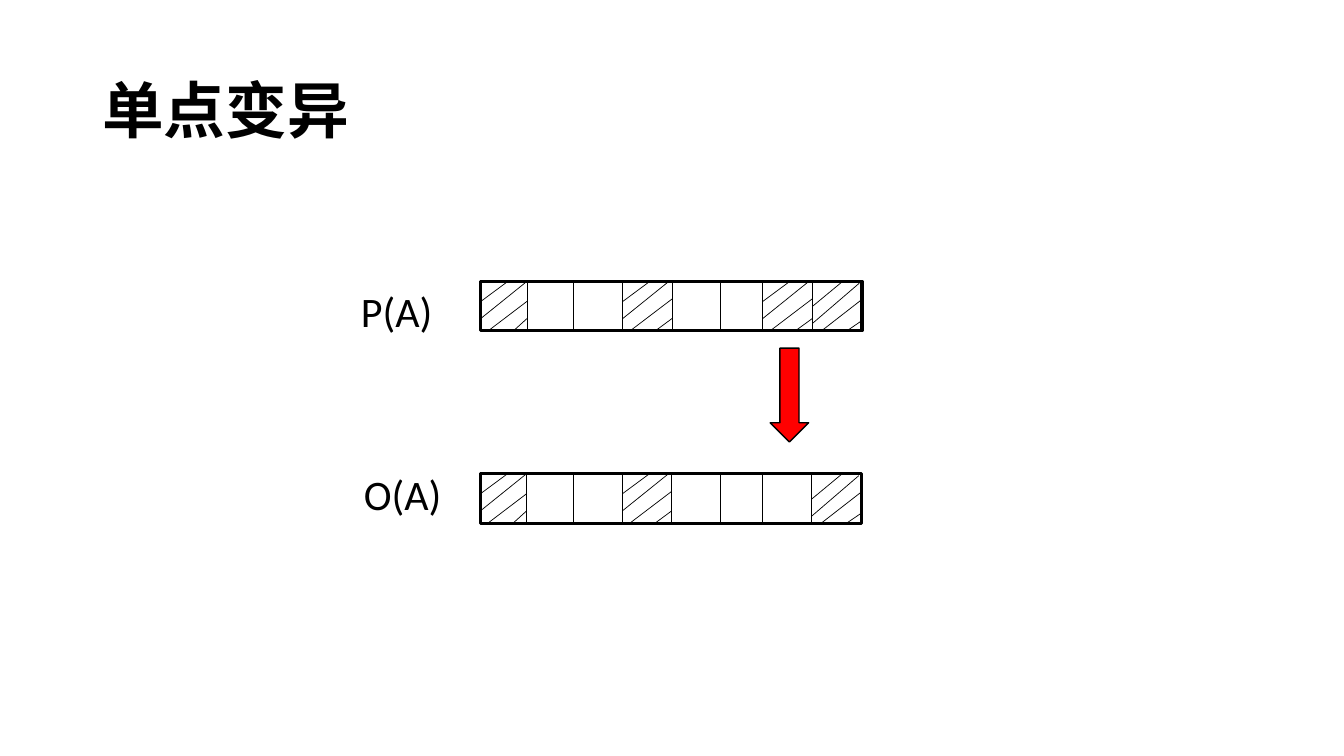
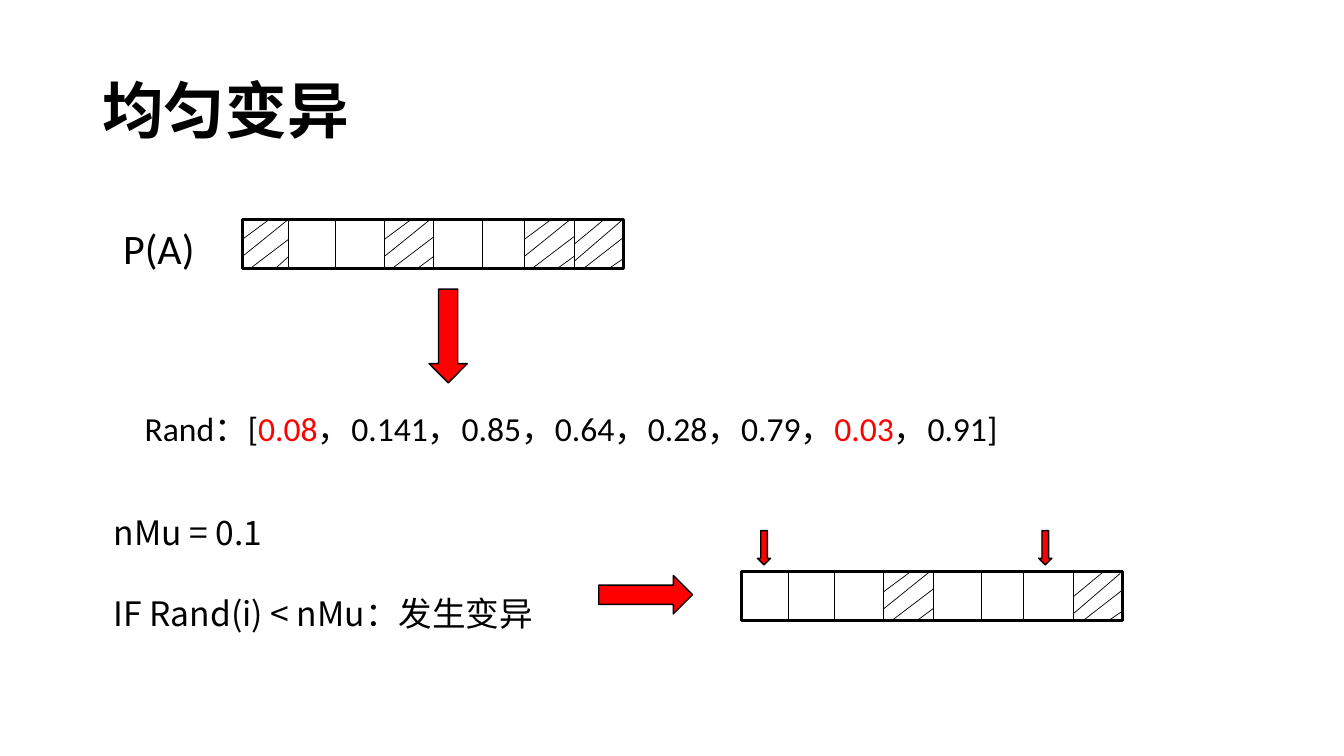
from lxml import etree
from pptx import Presentation
from pptx.dml.color import RGBColor
from pptx.enum.shapes import MSO_CONNECTOR, MSO_SHAPE
from pptx.enum.text import MSO_ANCHOR, MSO_AUTO_SIZE, PP_ALIGN
from pptx.oxml.ns import qn
from pptx.util import Pt

RECTANGLE, ARROW = MSO_SHAPE.RECTANGLE, MSO_SHAPE.RIGHT_ARROW
STRAIGHT = MSO_CONNECTOR.STRAIGHT
LEFT, CENTER = PP_ALIGN.LEFT, PP_ALIGN.CENTER
TOP, MIDDLE = MSO_ANCHOR.TOP, MSO_ANCHOR.MIDDLE
GROW = MSO_AUTO_SIZE.SHAPE_TO_FIT_TEXT

COLORS = {"ink": "000000", "paper": "FFFFFF", "accent": "FF0000"}
LATIN, CJK = "Calibri", "Noto Sans CJK SC"
TITLE = {"size": Pt(44), "name": CJK, "bold": True}
LABEL = {"size": Pt(30), "name": LATIN}
RANDOM = {"size": Pt(24), "name": LATIN}
RULE = {"size": Pt(24), "name": CJK}

GENE_EDGES = [0, 33, 66.4, 101.4, 136.6, 171.2, 201.4, 236.8, 272.2]
BAR_WIDTH, BAR_HEIGHT = GENE_EDGES[-1], 35.3
PARENT = "10010011"
LARGE_ARROW, SMALL_ARROW = (67, 27.4), (24.5, 9.4)


def rgb(color):
    """Return the palette colour with this name."""
    return RGBColor.from_string(COLORS[color])


def add_text(slide, box, paragraphs, style, align=LEFT, anchor=TOP, spacing=None):
    """Add a text box; each paragraph is a list of (text, colour) runs."""
    area = slide.shapes.add_textbox(*map(Pt, box))
    frame = area.text_frame
    frame.word_wrap = True
    frame.vertical_anchor = anchor
    if anchor == TOP:
        frame.auto_size = GROW
    for index, runs in enumerate(paragraphs):
        paragraph = frame.add_paragraph() if index else frame.paragraphs[0]
        paragraph.alignment = align
        paragraph.line_spacing = spacing
        for text, color in runs:
            run = paragraph.add_run()
            run.text = text
            for attribute, value in style.items():
                setattr(run.font, attribute, value)
            run.font.color.rgb = rgb(color)
            east_asian = etree.SubElement(run.font._element, qn("a:ea"))
            east_asian.set("typeface", CJK)


def add_label(slide, left, top, text):
    """Add the name of a chromosome."""
    add_text(slide, (left, top, 78.5, 43.9), [[(text, "ink")]], LABEL, CENTER)


def add_block(slide, preset, box, fill, weight):
    """Add a filled shape with a black outline."""
    block = slide.shapes.add_shape(preset, *map(Pt, box))
    block.shadow.inherit = False
    block.fill.solid()
    block.fill.fore_color.rgb = rgb(fill)
    block.line.color.rgb = rgb("ink")
    block.line.width = Pt(weight)
    return block


def add_arrow(slide, left, top, size, rotation=0):
    """Add a red arrow, placed by its frame before rotation."""
    arrow = add_block(slide, ARROW, (left, top, *size), "accent", 1)
    arrow.rotation = rotation


def add_line(slide, *ends):
    """Add a thin line between two points."""
    line = slide.shapes.add_connector(STRAIGHT, *map(Pt, ends))
    line.line.color.rgb = rgb("ink")
    line.line.width = Pt(0.5)
    etree.SubElement(line._element.spPr, qn("a:effectLst"))


def hatch_strokes(width, is_last):
    """Return the four diagonal strokes of a gene, relative to its corner."""
    if is_last:
        return [(20.9, 0.7, 0, 18), (33.5, 1.4, 0, 30.2),
                (width, 13, 5.8, 36), (width, 28.1, 23.8, 36)]
    return [(19.4, 0, 0, 14.4), (33, 0, 0, 26.6),
            (width, BAR_HEIGHT - 0.76 * (width - 5.4), 5.4, BAR_HEIGHT),
            (width, 26.6, 23.4, BAR_HEIGHT)]


def add_chromosome(slide, left, top, genes):
    """Add a bar of genes in which every 1 is hatched."""
    add_block(slide, RECTANGLE, (left, top, BAR_WIDTH, BAR_HEIGHT), "paper", 2.25)
    for edge in GENE_EDGES[1:-1]:
        add_line(slide, left + edge, top + BAR_HEIGHT, left + edge, top)
    for index, gene in enumerate(genes):
        if gene == "1":
            start, end = GENE_EDGES[index:index + 2]
            x = left + start
            for x1, y1, x2, y2 in hatch_strokes(end - start, end == BAR_WIDTH):
                add_line(slide, x + x1, top + y1, x + x2, top + y2)


def add_titled_slide(deck, title):
    """Add a blank slide with the shared title style."""
    slide = deck.slides.add_slide(deck.slide_layouts[6])
    add_text(slide, (66, 28.8, 828, 104.4), [[(title, "ink")]], TITLE,
             anchor=MIDDLE, spacing=0.9)
    return slide


def build_single_point(deck):
    """Build the slide on single-point mutation."""
    slide = add_titled_slide(deck, "单点变异")
    add_chromosome(slide, 343.5, 200.9, PARENT)
    add_label(slide, 244.1, 200.2, "P(A)")
    add_label(slide, 248.4, 331.2, "O(A)")
    add_chromosome(slide, 343.1, 338.4, "10010001")
    add_arrow(slide, 530.4, 268.5, LARGE_ARROW, 90)


def build_uniform(deck):
    """Build the slide on uniform mutation."""
    slide = add_titled_slide(deck, "均匀变异")
    add_chromosome(slide, 173.3, 156.5, PARENT)
    add_label(slide, 74.2, 155.5, "P(A)")
    random_values = [("Rand：[", "ink"), ("0.08", "accent"),
                     ("，0.141，0.85，0.64，0.28，0.79，", "ink"),
                     ("0.03", "accent"), ("，0.91]", "ink")]
    add_text(slide, (74.2, 288, 667.4, 36), [random_values], RANDOM, CENTER)
    add_arrow(slide, 286.6, 226.3, LARGE_ARROW, 90)
    mutation_rule = [[("nMu = 0.1", "ink")],
                     [("IF Rand(i) < nMu：发生变异", "ink")]]
    add_text(slide, (74.2, 333.4, 421.2, 115.2), mutation_rule, RULE, spacing=2.0)
    add_arrow(slide, 427.7, 411.1, LARGE_ARROW)
    add_chromosome(slide, 529.9, 408.2, "00010001")
    for mutated_left in (533.5, 734.4):
        add_arrow(slide, mutated_left, 386.6, SMALL_ARROW, 90)


def main():
    """Build and save the deck."""
    deck = Presentation()
    deck.slide_width, deck.slide_height = Pt(960), Pt(540)
    build_single_point(deck)
    build_uniform(deck)
    deck.save("out.pptx")


main()
